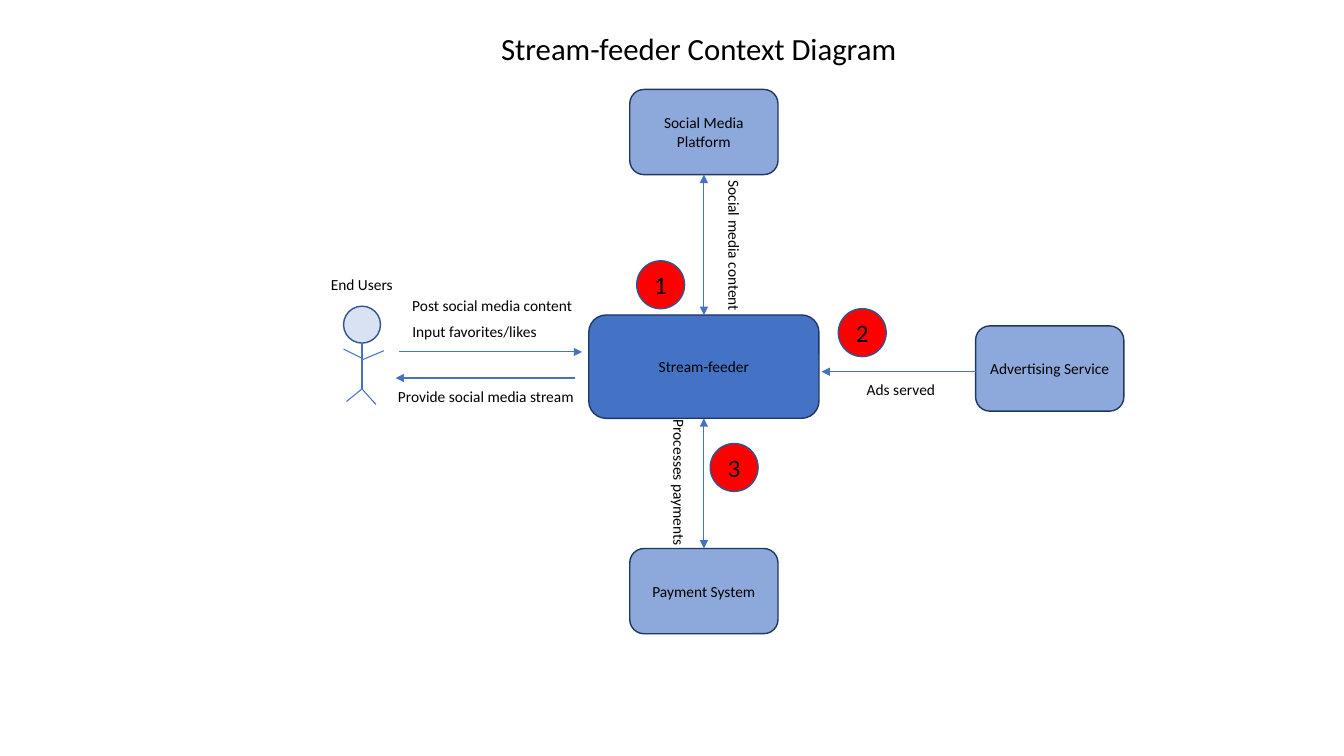
from lxml.etree import SubElement
from pptx import Presentation
from pptx.dml.color import RGBColor
from pptx.enum.shapes import MSO_CONNECTOR, MSO_SHAPE
from pptx.enum.text import MSO_ANCHOR, MSO_AUTO_SIZE, PP_ALIGN
from pptx.oxml.ns import qn
from pptx.util import Inches, Pt

BLACK = RGBColor(0x00, 0x00, 0x00)
BLUE = RGBColor(0x44, 0x72, 0xC4)
LIGHT = RGBColor(0x8D, 0xA9, 0xDB)
PALE = RGBColor(0xD8, 0xE2, 0xF3)
NAVY = RGBColor(0x1F, 0x37, 0x63)
EDGE = RGBColor(0x31, 0x53, 0x8F)
RED = RGBColor(0xFF, 0x00, 0x00)

COLS, ROWS = 160, 90
TOP, LEFT, BOTTOM = 0, 1, 2
CENTER_X = 83.8
BOX_W, BOX_H = 17.65, 10.15


def write(frame, text, size=11, align=PP_ALIGN.LEFT, anchor=MSO_ANCHOR.TOP, wrap=True):
    frame.text = text
    frame.word_wrap = wrap
    frame.auto_size = MSO_AUTO_SIZE.NONE
    frame.vertical_anchor = anchor
    para = frame.paragraphs[0]
    para.alignment = align
    font = para.runs[0].font
    font.name = "Calibri"
    font.size = Pt(size)
    font.color.rgb = BLACK


class Board:
    """Draws on one slide; lengths are cells of a COLS by ROWS grid."""

    def __init__(self, deck):
        self.cell_w = deck.slide_width / COLS
        self.cell_h = deck.slide_height / ROWS
        self.slide = deck.slides.add_slide(deck.slide_layouts[5])
        self.shapes = self.slide.shapes

    def place(self, x, y, w, h):
        return (round(x * self.cell_w), round(y * self.cell_h),
                round(w * self.cell_w), round(h * self.cell_h))

    def title(self, text, *area):
        holder = self.shapes.title
        holder.left, holder.top, holder.width, holder.height = self.place(*area)
        write(holder.text_frame, text, size=22, anchor=MSO_ANCHOR.MIDDLE)

    def node(self, kind, area, fill, edge, text="", size=11):
        shape = self.shapes.add_shape(kind, *self.place(*area))
        shape.shadow.inherit = False
        shape.fill.solid()
        shape.fill.fore_color.rgb = fill
        shape.line.color.rgb = edge
        shape.line.width = Pt(1)
        if text:
            write(shape.text_frame, text, size, PP_ALIGN.CENTER, MSO_ANCHOR.MIDDLE)
        return shape

    def box(self, text, x, y, w=BOX_W, h=BOX_H, fill=LIGHT):
        return self.node(MSO_SHAPE.ROUNDED_RECTANGLE, (x, y, w, h), fill, NAVY, text)

    def badge(self, text, x, y):
        self.node(MSO_SHAPE.OVAL, (x, y, 5.7, 5.7), RED, EDGE, text, 18)

    def label(self, text, x, y, w, turn=0):
        shape = self.shapes.add_textbox(*self.place(x, y, w, 3.45))
        shape.rotation = turn
        write(shape.text_frame, text, wrap=False)

    def line(self, x1, y1, x2, y2, ends=()):
        """Draws a line; ends may name headEnd (start) and tailEnd (finish)."""
        link = self.shapes.add_connector(
            MSO_CONNECTOR.STRAIGHT, *self.place(x1, y1, x2, y2))
        link.line.color.rgb = BLUE
        link.line.width = Pt(0.75)
        props = link.line._get_or_add_ln()
        for end in ends:
            SubElement(props, qn(f"a:{end}"), type="triangle")
        SubElement(link._element.spPr, qn("a:effectLst"))
        return link

    def join(self, upper, lower):
        link = self.line(0, 0, 1, 1, ("headEnd", "tailEnd"))
        link.begin_connect(upper, BOTTOM)
        link.end_connect(lower, TOP)

    def person(self, x, y):
        """Draws a stick figure whose head is centred on x with its top at y."""
        self.node(MSO_SHAPE.OVAL, (x - 2.2, y, 4.4, 4.4), PALE, EDGE)
        neck, hip = y + 4.4, y + 9.85
        for start, dx, end in ((neck, 0, hip), (y + 6.4, 2.6, y + 5.3),
                               (y + 6.2, -2.2, y + 5.1), (hip, 1.65, y + 11.7),
                               (hip, -1.85, y + 11.35)):
            self.line(x, start, x + dx, end)


def main():
    deck = Presentation()
    deck.slide_width, deck.slide_height = Inches(40 / 3), Inches(7.5)
    board = Board(deck)
    board.title("Stream-feeder Context Diagram", 58.45, 2.9, 58.45, 5.6)

    core_w = 27.4
    core = board.box("Stream-feeder", CENTER_X - core_w / 2, 37.5, core_w, 12.3, BLUE)
    mid = CENTER_X - BOX_W / 2
    social = board.box("Social Media Platform", mid, 10.65)
    payment = board.box("Payment System", mid, 65.3)
    board.box("Advertising Service", 116.15, 38.8)
    board.join(social, core)
    board.join(core, payment)

    board.person(43.1, 36.45)
    for x1, x2, y in ((47.5, 69.3, 41.9), (68.4, 47.1, 45), (116.15, 97.8, 44.25)):
        board.line(x1, y, x2, y, ("tailEnd",))

    for text, x, y in (("1", 75.8, 31.05), ("2", 99.8, 36.75), ("3", 84.55, 52.8)):
        board.badge(text, x, y)

    for text, x, y, w, turn in (
            ("End Users", 38.2, 32.15, 9.8, 0),
            ("Post social media content", 47.9, 34.7, 21.6, 0),
            ("Input favorites/likes", 47.9, 37.7, 17.9, 0),
            ("Provide social media stream", 46.2, 45.5, 23.5, 0),
            ("Ads served", 102, 44.65, 10.7, 0),
            ("Social media content", 78.35, 27.6, 18.1, 90),
            ("Processes payments", 72.1, 55.8, 17.5, 90)):
        board.label(text, x, y, w, turn)

    deck.save("out.pptx")


if __name__ == "__main__":
    main()
